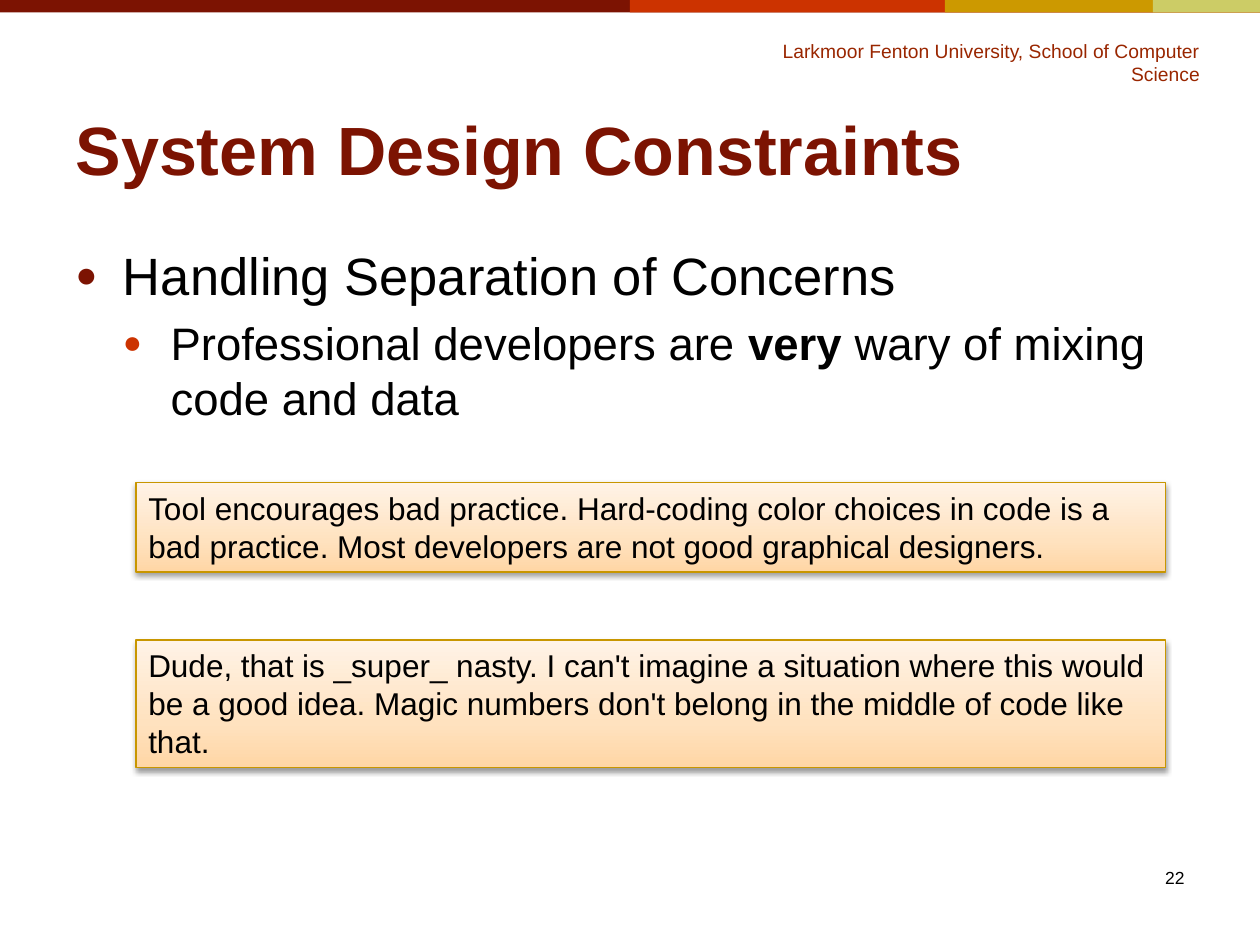
from lxml import etree
from pptx import Presentation
from pptx import util as u
from pptx.dml.color import RGBColor
from pptx.enum import shapes, text
from pptx.oxml import ns

MAROON = RGBColor(0x7C, 0x13, 0x02)
RED = RGBColor(0xCC, 0x33, 0x00)
GOLD = RGBColor(0xCC, 0x99, 0x00)
OLIVE = RGBColor(0xCC, 0xCC, 0x66)
RUST = RGBColor(0x99, 0x26, 0x00)
AMBER = RGBColor(0xC8, 0x96, 0x00)
BLACK = RGBColor(0x00, 0x00, 0x00)
PEACH = RGBColor(0xFF, 0xD6, 0xA5)
APRICOT = RGBColor(0xFF, 0xE2, 0xBF)
CREAM = RGBColor(0xFF, 0xF3, 0xE7)

WIDTH, HEIGHT = 25.4, 19.05
BAND_HEIGHT = 0.25
QUOTE_STOPS = ((0, PEACH), (35, APRICOT), (100, CREAM))


def add_node(parent, tag, **attributes):
    node = etree.SubElement(parent, ns.qn(tag))
    for key, value in attributes.items():
        node.set(key, str(value))
    return node


class SlideBuilder:
    font_name = "Arial"

    def __init__(self, slide):
        self.slide = slide

    def apply(self, target, formats):
        for key, value in formats.items():
            setattr(target, key, value)

    def add_words(self, paragraph, words, size, color=BLACK, bold=False):
        run = paragraph.add_run()
        run.text = words
        self.apply(run.font, {"name": self.font_name, "size": u.Pt(size), "bold": bold})
        run.font.color.rgb = color

    def place(self, shape, left, top, width, height):
        self.apply(shape, {"left": u.Cm(left), "top": u.Cm(top),
                           "width": u.Cm(width), "height": u.Cm(height)})

    def title(self, words, box):
        heading = self.slide.shapes.title
        self.place(heading, *box)
        self.apply(heading.text_frame, {"vertical_anchor": text.MSO_ANCHOR.BOTTOM,
                                        "auto_size": text.MSO_AUTO_SIZE.NONE,
                                        "word_wrap": True})
        paragraph = heading.text_frame.paragraphs[0]
        paragraph.alignment = text.PP_ALIGN.LEFT
        self.add_words(paragraph, words, 39, MAROON, True)

    def frame(self, box, wrap=True):
        frame = self.slide.shapes.add_textbox(*map(u.Cm, box)).text_frame
        frame.word_wrap = wrap
        return frame

    def label(self, words, box, size, color=BLACK, align=text.PP_ALIGN.LEFT, wrap=True):
        paragraph = self.frame(box, wrap).paragraphs[0]
        paragraph.alignment = align
        self.add_words(paragraph, words, size, color)

    def bullets(self, items, box):
        frame = self.frame(box)
        for level, (size, dot_color, pieces) in enumerate(items):
            paragraph = frame.add_paragraph() if level else frame.paragraphs[0]
            self.apply(paragraph, {"level": level, "space_before": u.Pt(size * 0.2)})
            for words, bold in pieces:
                self.add_words(paragraph, words, size, bold=bold)
            properties = paragraph._p.get_or_add_pPr()
            hang = u.Cm(0.96)
            properties.set("marL", str(hang * (level + 1)))
            properties.set("indent", str(-hang))
            add_node(add_node(properties, "a:buClr"), "a:srgbClr", val=dot_color)
            add_node(properties, "a:buSzPct", val=70000)
            add_node(properties, "a:buFont", typeface=self.font_name)
            add_node(properties, "a:buChar", char="●")

    def rectangle(self, left, top, width, height):
        rectangle = self.slide.shapes.add_shape(
            shapes.MSO_SHAPE.RECTANGLE, *map(u.Cm, (left, top, width, height)))
        rectangle.shadow.inherit = False
        return rectangle

    def band(self, left, color):
        strip = self.rectangle(left, 0, WIDTH - left, BAND_HEIGHT)
        strip.fill.solid()
        strip.fill.fore_color.rgb = color
        strip.line.fill.background()

    def quote(self, words, top, height):
        card = self.rectangle(2.74, top, 20.75, height)
        card.fill.gradient()
        card.fill.gradient_angle = 90
        properties = card._element.spPr
        stops = properties.find(".//" + ns.qn("a:gsLst"))
        for stop in list(stops):
            stops.remove(stop)
        for position, color in QUOTE_STOPS:
            stop = add_node(stops, "a:gs", pos=position * 1000)
            add_node(stop, "a:srgbClr", val=color)
        card.line.color.rgb = AMBER
        card.line.width = u.Pt(0.75)
        shadow = add_node(properties.find(ns.qn("a:effectLst")), "a:outerShdw",
                          blurRad=u.Pt(3.1), dist=u.Pt(1.6), dir=5400000, rotWithShape=0)
        add_node(add_node(shadow, "a:srgbClr", val=BLACK), "a:alpha", val=38000)
        self.apply(card.text_frame, {"word_wrap": True,
                                     "vertical_anchor": text.MSO_ANCHOR.TOP,
                                     "auto_size": text.MSO_AUTO_SIZE.SHAPE_TO_FIT_TEXT})
        paragraph = card.text_frame.paragraphs[0]
        paragraph.alignment = text.PP_ALIGN.LEFT
        self.add_words(paragraph, words, 18)


def main():
    deck = Presentation()
    deck.slide_width, deck.slide_height = u.Cm(WIDTH), u.Cm(HEIGHT)
    page = SlideBuilder(deck.slides.add_slide(deck.slide_layouts[5]))

    for left, color in ((0, MAROON), (12.7, RED), (19.05, GOLD), (23.24, OLIVE)):
        page.band(left, color)
    page.label("Larkmoor Fenton University, School of Computer Science",
               (14.05, 0.66, 10.39, 0.74), 11, RUST, text.PP_ALIGN.RIGHT, wrap=False)
    page.title("System Design Constraints", (1.27, 0.33, 20.96, 3.61))
    page.bullets([
        (30, MAROON, [("Handling Separation of Concerns", False)]),
        (26, RED, [("Professional developers are ", False), ("very ", True),
                   ("wary of mixing code and data", False)]),
    ], (1.27, 4.78, 22.86, 12.24))
    page.label("22", (18.21, 17.35, 5.92, 1.27), 10, align=text.PP_ALIGN.RIGHT)
    page.quote("Tool encourages bad practice. Hard-coding color choices in code is a bad "
               "practice. Most developers are not good graphical designers.", 9.73, 1.8)
    page.quote("Dude, that is _super_ nasty. I can't imagine a situation where this would be "
               "a good idea. Magic numbers don't belong in the middle of code like that.",
               12.9, 2.57)
    deck.save("out.pptx")


if __name__ == "__main__":
    main()
